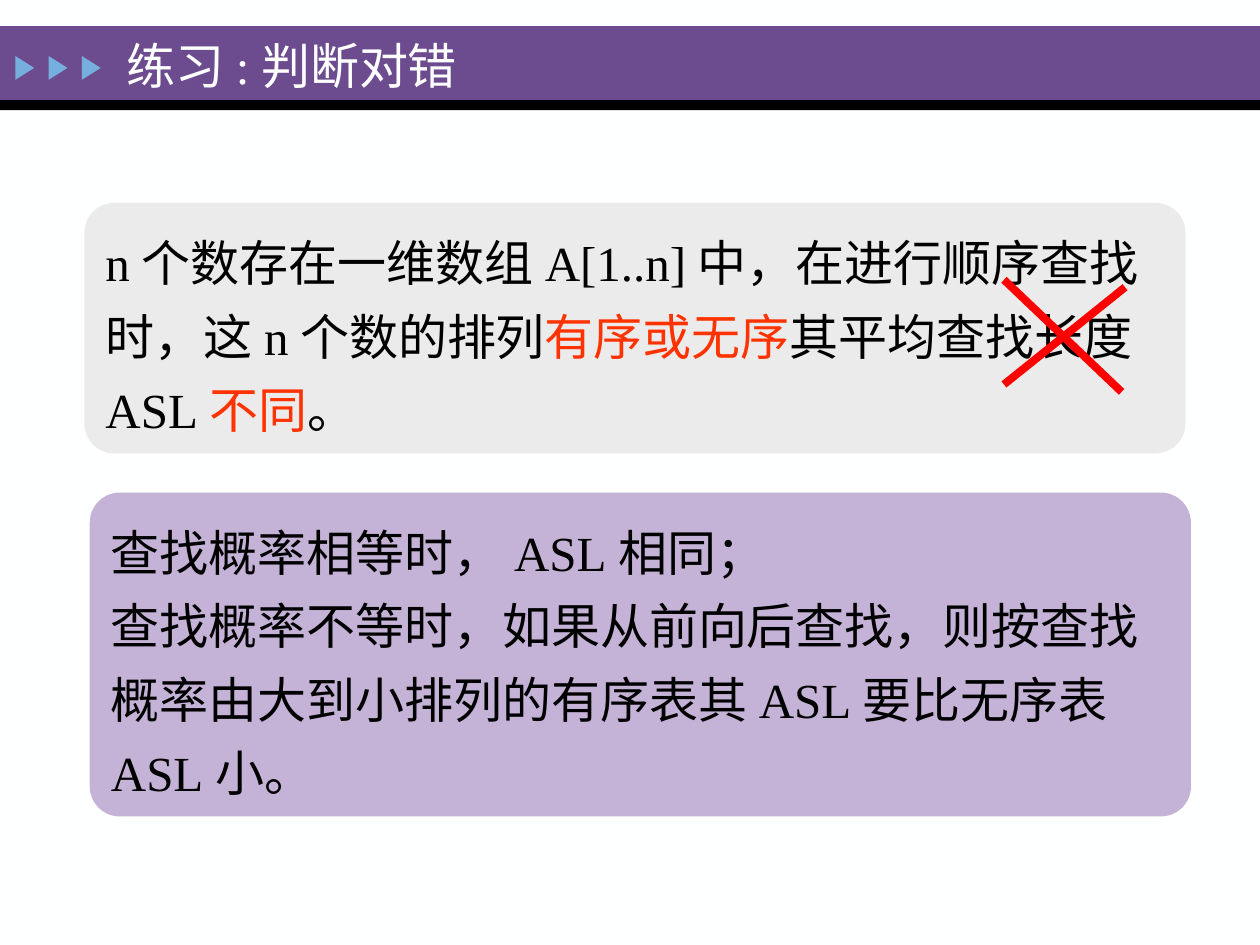
from lxml import etree
from pptx import Presentation
from pptx.dml.color import RGBColor
from pptx.enum import shapes, text
from pptx.oxml.ns import qn
from pptx.util import Cm, Pt

COLORS = {
    "background": "FEFFFF",
    "purple": "6C4C8F",
    "black": "000000",
    "arrow": "76AEDD",
    "question": "EBEBEB",
    "answer": "C4B3D7",
    "emphasis": "FF3300",
    "cross": "FF0000",
}
SHAPE = shapes.MSO_SHAPE


def rgb(name):
    return RGBColor.from_string(COLORS[name])


class SlideBuilder:
    font_name = "Times New Roman"
    font_size = Pt(28)

    def __init__(self, slide):
        self.slide = slide
        fill = slide.background.fill
        fill.solid()
        fill.fore_color.rgb = rgb("background")

    def style(self, run, color):
        run.font.name = self.font_name
        run.font.size = self.font_size
        run.font.color.rgb = rgb(color)

    def block(self, kind, left, top, width, height, color):
        shape = self.slide.shapes.add_shape(
            kind, Cm(left), Cm(top), Cm(width), Cm(height))
        shape.shadow.inherit = False
        shape.fill.solid()
        shape.fill.fore_color.rgb = rgb(color)
        shape.line.fill.background()
        return shape

    def title(self, content, left, top, width, height):
        title = self.slide.shapes.title
        title.left, title.top = Cm(left), Cm(top)
        title.width, title.height = Cm(width), Cm(height)
        frame = title.text_frame
        frame.text = content
        frame.auto_size = text.MSO_AUTO_SIZE.NONE
        frame.vertical_anchor = text.MSO_ANCHOR.MIDDLE
        paragraph = frame.paragraphs[0]
        paragraph.alignment = text.PP_ALIGN.LEFT
        self.style(paragraph.runs[0], "background")
        # Bring the title in front of the header band
        self.slide.shapes._spTree.append(title._element)

    def card(self, left, top, width, height, corner, color, paragraphs):
        """Each paragraph is a list of pieces, alternating plain and emphasised."""
        shape = self.block(SHAPE.ROUNDED_RECTANGLE, left, top, width, height, color)
        shape.adjustments[0] = corner
        frame = shape.text_frame
        frame.word_wrap = True
        frame.vertical_anchor = text.MSO_ANCHOR.MIDDLE
        for index, pieces in enumerate(paragraphs):
            paragraph = frame.add_paragraph() if index else frame.paragraphs[0]
            paragraph.alignment = text.PP_ALIGN.LEFT
            paragraph.line_spacing = 1.25
            for position, piece in enumerate(pieces):
                run = paragraph.add_run()
                run.text = piece
                self.style(run, "emphasis" if position % 2 else "black")

    def stroke(self, x1, y1, x2, y2):
        line = self.slide.shapes.add_connector(
            shapes.MSO_CONNECTOR.STRAIGHT, Cm(x1), Cm(y1), Cm(x2), Cm(y2))
        line.line.color.rgb = rgb("cross")
        line.line.width = Pt(4.5)
        etree.SubElement(line._element.spPr, qn("a:effectLst"))


def main():
    presentation = Presentation()
    presentation.slide_width, presentation.slide_height = Cm(25.4), Cm(19.05)
    title_only = presentation.slide_layouts[5]
    builder = SlideBuilder(presentation.slides.add_slide(title_only))

    # Header band with three arrowheads and the title
    builder.block(SHAPE.RECTANGLE, 0, 0.53, 25.4, 1.5, "purple")
    builder.block(SHAPE.RECTANGLE, 0, 2.02, 25.4, 0.2, "black")
    for index in range(3):
        arrow = builder.block(
            SHAPE.ISOSCELES_TRIANGLE, 0.26 + 0.67 * index, 1.18, 0.48, 0.38, "arrow")
        arrow.rotation = 90
    builder.title("练习:判断对错", 2.29, 0.36, 11.3, 1.9)

    # Statement to judge and its explanation
    builder.card(1.7, 4.09, 22.2, 5.05, 0.12, "question", [
        ["n个数存在一维数组A[1..n]中，在进行顺序查找时，这n个数的排列",
         "有序或无序", "其平均查找长度ASL", "不同", "。"],
    ])
    builder.card(1.81, 9.93, 22.2, 6.53, 0.093, "answer", [
        ["查找概率相等时，ASL相同；"],
        ["查找概率不等时，如果从前向后查找，则按查找概率由大到小排列的"
         "有序表其ASL要比无序表ASL小。"],
    ])

    # Red cross marking the statement as wrong
    builder.stroke(20.24, 5.64, 22.61, 7.9)
    builder.stroke(22.68, 5.79, 20.24, 7.75)

    presentation.save("out.pptx")


if __name__ == "__main__":
    main()
